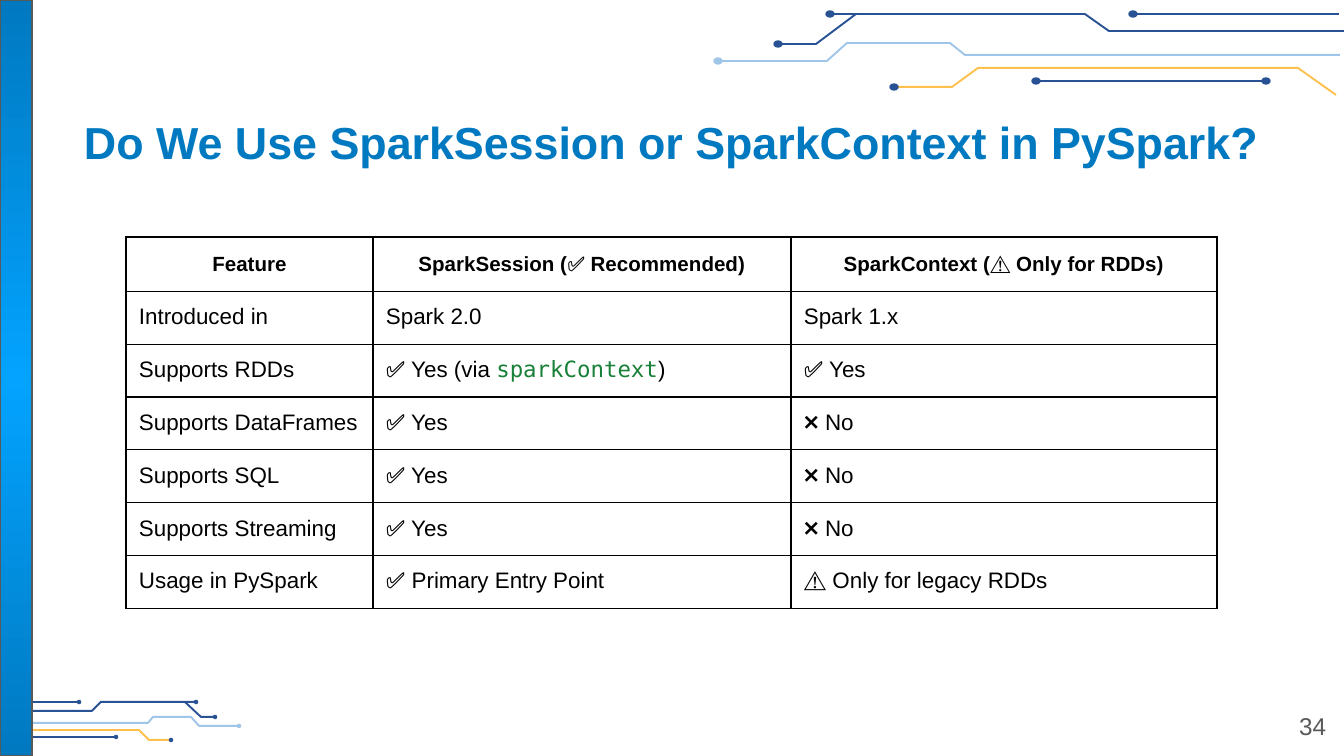
from dataclasses import dataclass

from lxml.etree import SubElement
from pptx import Presentation
from pptx.dml.color import RGBColor
from pptx.enum.shapes import MSO_CONNECTOR as Connector, MSO_SHAPE as Shape
from pptx.enum.text import MSO_ANCHOR as Anchor, PP_ALIGN as Align
from pptx.oxml import parse_xml
from pptx.oxml.ns import nsdecls, qn
from pptx.util import Emu, Pt

EMU_PER_PX = 914400 / 134.4
INSET = 13

NAVY = RGBColor(0x28, 0x52, 0x93)
SKY = RGBColor(0x9F, 0xC5, 0xE8)
AMBER = RGBColor(0xFE, 0xC1, 0x4F)
BRIGHT_BLUE = RGBColor(0x03, 0xA3, 0xFF)
BLUE = RGBColor(0x00, 0x79, 0xC0)
GREY = RGBColor(0x59, 0x59, 0x59)
BLACK = RGBColor(0x00, 0x00, 0x00)
GREEN = RGBColor(0x18, 0x80, 0x38)


@dataclass(frozen=True)
class Trace:
    color: RGBColor
    points: tuple
    pads: tuple
    pad_color: RGBColor = NAVY


@dataclass(frozen=True)
class Words:
    text: str
    size: int
    color: RGBColor = BLACK
    bold: bool = False
    font: str = "Arial"


@dataclass(frozen=True)
class Label:
    box: tuple
    words: Words
    align: Align
    anchor: Anchor


TOP_PAD = (8, 6)
TOP_TRACES = (
    Trace(NAVY, ((1344, 31), (1109, 31), (1085, 14), (830, 14)), ((830, 14),)),
    Trace(NAVY, ((856, 14), (816, 44), (778, 44)), ((778, 44),)),
    Trace(NAVY, ((1339, 14), (1133, 14)), ((1133, 14),)),
    Trace(AMBER, ((1336, 95), (1298, 68), (978, 68), (952, 87), (894, 87)), ((894, 87),)),
    Trace(NAVY, ((1266, 81), (1036, 81)), ((1266, 81), (1036, 81))),
    Trace(SKY, ((1340, 55), (965, 55), (950, 43), (847, 43), (827, 61), (718, 61)),
          ((718, 61),), SKY),
)
BOTTOM_PAD = (3, 3)
BOTTOM_TRACES = (
    Trace(NAVY, ((5, 711), (92, 711), (101, 702), (196, 702)), ((196, 702),)),
    Trace(NAVY, ((185, 702), (201, 717), (215, 717)), ((215, 717),)),
    Trace(NAVY, ((0, 702), (79, 702)), ((79, 702),)),
    Trace(AMBER, ((1, 745), (16, 730), (139, 730), (149, 740), (171, 740)), ((171, 740),)),
    Trace(NAVY, ((28, 737), (116, 737)), ((28, 737), (116, 737))),
    Trace(SKY, ((11, 723), (148, 723), (153, 717), (191, 717), (199, 726), (239, 726)),
          ((239, 726),), SKY),
)

TITLE = Label((71, 99, 1253, 85),
              Words("Do We Use SparkSession or SparkContext in PySpark?", 24, BLUE, True),
              Align.LEFT, Anchor.MIDDLE)
PAGE_NUMBER = Label((1258, 698, 81, 58), Words("34", 13, GREY), Align.RIGHT, Anchor.TOP)

TABLE_CORNER = (126, 237)
COLUMN_WIDTHS = (247, 418, 426)
HEADER_HEIGHT, ROW_HEIGHT = 53, 52
FEATURES = (
    ("Feature", "SparkSession (✅ Recommended)", "SparkContext (⚠️ Only for RDDs)"),
    ("Introduced in", "Spark 2.0", "Spark 1.x"),
    ("Supports RDDs", "✅ Yes (via |sparkContext|)", "✅ Yes"),
    ("Supports DataFrames", "✅ Yes", "❌ No"),
    ("Supports SQL", "✅ Yes", "❌ No"),
    ("Supports Streaming", "✅ Yes", "❌ No"),
    ("Usage in PySpark", "✅ Primary Entry Point", "⚠️ Only for legacy RDDs"),
)


def px(length: int) -> Emu:
    return Emu(round(length * EMU_PER_PX))


def add_words(paragraph, words: Words) -> None:
    run = paragraph.add_run()
    run.text = words.text
    run.font.name = words.font
    run.font.size = Pt(words.size)
    run.font.bold = words.bold
    run.font.color.rgb = words.color


def set_insets(holder) -> None:
    holder.margin_left = holder.margin_right = px(INSET)
    holder.margin_top = holder.margin_bottom = px(INSET)


def draw_trace(shapes, trace: Trace, pad_size: tuple) -> None:
    start, *rest = trace.points
    if len(rest) == 1:
        track = shapes.add_connector(Connector.STRAIGHT, *map(px, start + rest[0]))
        SubElement(track._element.spPr, qn("a:effectLst"))
    else:
        builder = shapes.build_freeform(*start, scale=EMU_PER_PX)
        builder.add_line_segments(rest, close=False)
        track = builder.convert_to_shape()
        track.fill.background()
        track.shadow.inherit = False
    track.line.color.rgb = trace.color
    track.line.width = Pt(1.03)
    width, height = map(px, pad_size)
    for x, y in trace.pads:
        pad = shapes.add_shape(Shape.OVAL, px(x) - width // 2, px(y) - height // 2, width, height)
        pad.shadow.inherit = False
        pad.fill.solid()
        pad.fill.fore_color.rgb = trace.pad_color
        pad.line.color.rgb = trace.pad_color
        pad.line.width = Pt(0.75)


def draw_side_band(shapes) -> None:
    band = shapes.add_shape(Shape.RECTANGLE, 0, 0, px(32), px(756))
    band.shadow.inherit = False
    band.line.color.rgb = GREY
    band.line.width = Pt(0.75)
    band.fill.gradient()
    for stop, color, position in zip(band.fill.gradient_stops, (BRIGHT_BLUE, BLUE), (0, 1)):
        stop.color.rgb = color
        stop.position = position
    gradient = band._element.spPr.find(qn("a:gradFill"))
    gradient.remove(gradient.find(qn("a:lin")))
    glow = SubElement(gradient, qn("a:path"), {"path": "circle"})
    SubElement(glow, qn("a:fillToRect"), dict.fromkeys("ltrb", "50000"))


def draw_label(shapes, label: Label) -> None:
    frame = shapes.add_textbox(*map(px, label.box)).text_frame
    frame.word_wrap = True
    frame.vertical_anchor = label.anchor
    set_insets(frame)
    frame.paragraphs[0].alignment = label.align
    add_words(frame.paragraphs[0], label.words)


def outline_cell(cell) -> None:
    properties = cell._tc.get_or_add_tcPr()
    for position, side in enumerate("LRTB"):
        properties.insert(position, parse_xml(
            f'<a:ln{side} {nsdecls("a")} w="{Pt(0.75)}"><a:solidFill>'
            f'<a:srgbClr val="{BLACK}"/></a:solidFill></a:ln{side}>'))


def fill_cell(cell, text: str, is_header: bool) -> None:
    set_insets(cell)
    cell.fill.background()
    outline_cell(cell)
    paragraph = cell.text_frame.paragraphs[0]
    if is_header:
        paragraph.alignment = Align.CENTER
        paragraph.line_spacing = 1.15
        add_words(paragraph, Words(text, 11, bold=True))
        return
    for part, piece in enumerate(text.split("|")):
        is_code = part % 2 == 1
        add_words(paragraph, Words(piece, 12, GREEN, font="DejaVu Sans Mono")
                  if is_code else Words(piece, 12))


def draw_feature_table(shapes) -> None:
    heights = (HEADER_HEIGHT,) + (ROW_HEIGHT,) * (len(FEATURES) - 1)
    table = shapes.add_table(len(FEATURES), len(COLUMN_WIDTHS), *map(px, TABLE_CORNER),
                             px(sum(COLUMN_WIDTHS)), px(sum(heights))).table
    table.horz_banding = False
    for column, width in zip(table.columns, COLUMN_WIDTHS):
        column.width = px(width)
    for index, (row, height, texts) in enumerate(zip(table.rows, heights, FEATURES)):
        row.height = px(height)
        for cell, text in zip(row.cells, texts):
            fill_cell(cell, text, index == 0)


def main() -> None:
    deck = Presentation()
    deck.slide_width, deck.slide_height = px(1344), px(756)
    shapes = deck.slides.add_slide(deck.slide_layouts[6]).shapes
    for traces, pad_size in ((BOTTOM_TRACES, BOTTOM_PAD), (TOP_TRACES, TOP_PAD)):
        for trace in traces:
            draw_trace(shapes, trace, pad_size)
    draw_side_band(shapes)
    draw_label(shapes, TITLE)
    draw_label(shapes, PAGE_NUMBER)
    draw_feature_table(shapes)
    deck.save("out.pptx")


if __name__ == "__main__":
    main()
